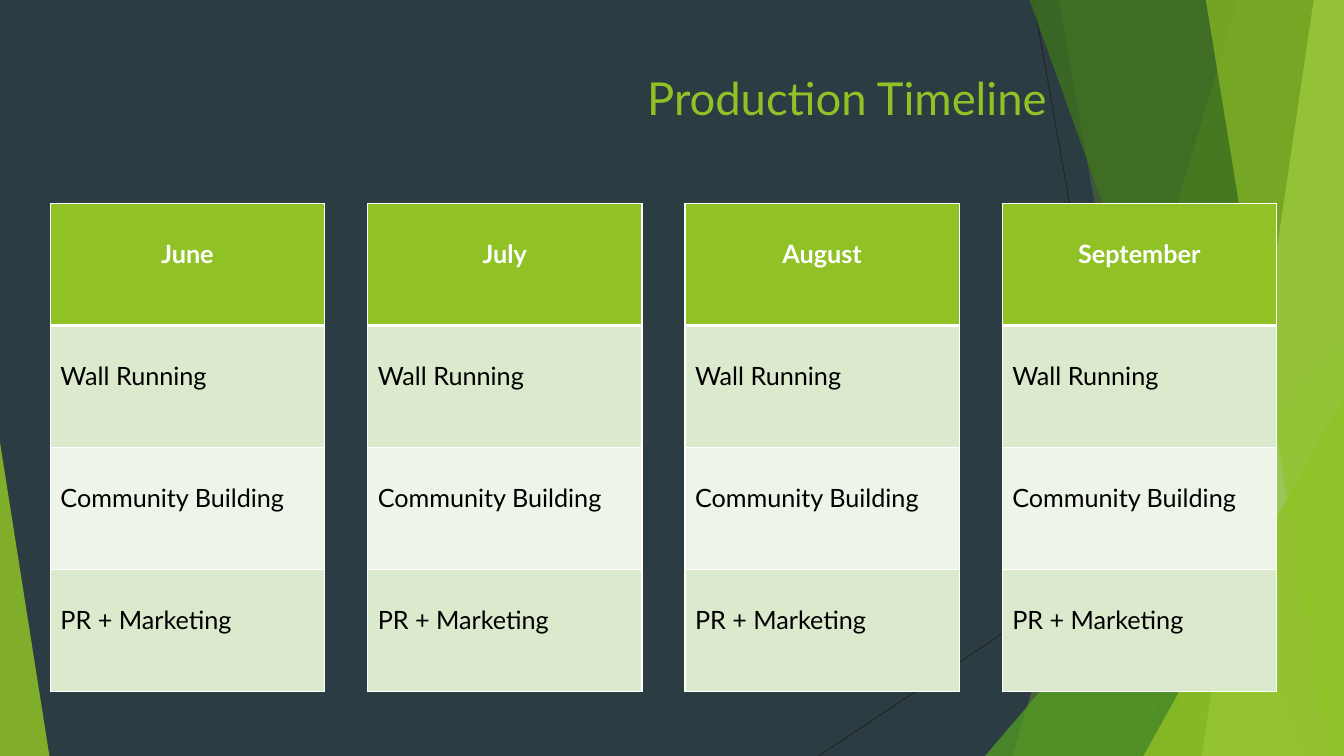
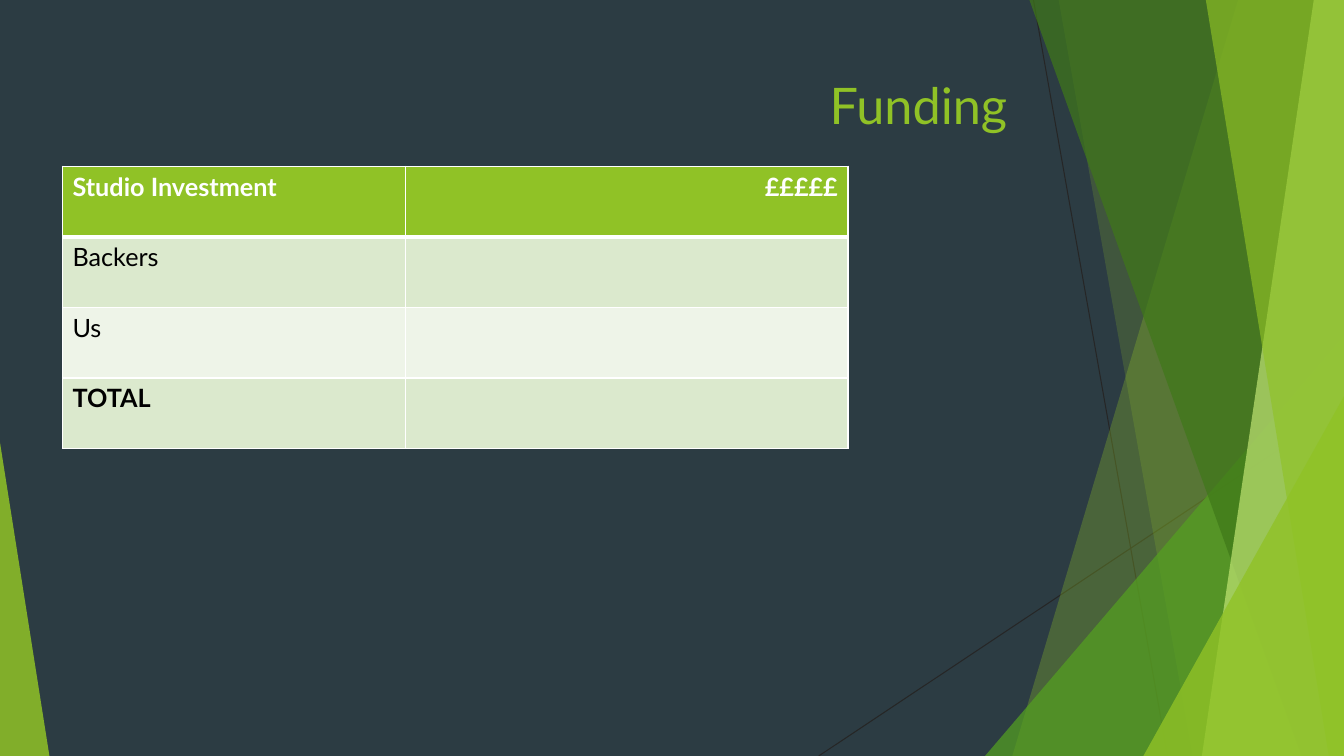
from lxml.etree import SubElement
from pptx import Presentation
from pptx.dml.color import RGBColor
from pptx.enum.shapes import MSO_CONNECTOR, MSO_SHAPE
from pptx.enum.text import MSO_ANCHOR, PP_ALIGN
from pptx.oxml import parse_xml
from pptx.oxml.ns import nsdecls, qn
from pptx.util import Inches, Pt

WIDTH, HEIGHT = 13.33, 7.5
FONT = "Lato"
SLATE = RGBColor(0x2C, 0x3C, 0x43)
CHARCOAL = RGBColor(0x26, 0x26, 0x26)
LIME = RGBColor(0x90, 0xC2, 0x26)
GREEN = RGBColor(0x54, 0xA0, 0x21)
FOREST = RGBColor(0x3F, 0x78, 0x19)
PALE_LIME = RGBColor(0xC0, 0xE4, 0x74)
BAND_DARK = RGBColor(0xDB, 0xE9, 0xCD)
BAND_LIGHT = RGBColor(0xEE, 0xF4, 0xE8)
WHITE = RGBColor(0xFF, 0xFF, 0xFF)
BLACK = RGBColor(0, 0, 0)

MONTHS = ["June", "July", "August", "September"]
TASKS = ["Wall Running", "Community Building", "PR + Marketing"]
FUNDING = [["Studio Investment", "£££££"], ["Backers", ""], ["Us", ""], ["TOTAL", ""]]


def paint(shape, color, opacity):
    shape.shadow.inherit = False
    shape.line.fill.background()
    shape.fill.solid()
    shape.fill.fore_color.rgb = color
    color_node = shape.fill._xPr.find(qn("a:solidFill"))[0]
    SubElement(color_node, qn("a:alpha"), val=str(opacity * 1000))


def add_ray(slide, start, end):
    ray = slide.shapes.add_connector(
        MSO_CONNECTOR.STRAIGHT, *[Inches(v) for v in (*start, *end)])
    ray.line.color.rgb = CHARCOAL
    ray.line.width = Pt(0.75)
    SubElement(ray._element.spPr, qn("a:effectLst"))


def add_shard(slide, top_x, bottom_x, color, opacity):
    builder = slide.shapes.build_freeform(Inches(top_x), 0, scale=1.0)
    corners = [(WIDTH, 0), (WIDTH, HEIGHT), (bottom_x, HEIGHT)]
    builder.add_line_segments([(Inches(x), Inches(y)) for x, y in corners], close=True)
    paint(builder.convert_to_shape(), color, opacity)


def add_wedge(slide, left, top, width, apex, color, opacity):
    wedge = slide.shapes.add_shape(
        MSO_SHAPE.ISOSCELES_TRIANGLE,
        Inches(left), Inches(top), Inches(width), Inches(HEIGHT - top))
    wedge.adjustments[0] = apex
    paint(wedge, color, opacity)


def add_facets(slide):
    add_ray(slide, (10.25, 0), (11.58, HEIGHT))
    add_ray(slide, (WIDTH, 4.03), (8.12, HEIGHT))
    add_shard(slide, 12.28, 10.04, LIME, 30)
    add_shard(slide, 10.5, 11.83, LIME, 20)
    add_wedge(slide, 9.77, 3.33, 3.56, 1, GREEN, 72)
    add_shard(slide, 10.21, 12.91, FOREST, 70)
    add_shard(slide, 13.03, 11.92, PALE_LIME, 70)
    add_shard(slide, 11.96, 13.18, LIME, 65)
    add_wedge(slide, 11.34, 3.93, 1.99, 1, LIME, 80)
    add_wedge(slide, 0, 4.39, 0.49, 0, LIME, 85)


def write(paragraph, text, size, color, bold=False, align=PP_ALIGN.LEFT):
    paragraph.alignment = align
    run = paragraph.add_run()
    run.text = text
    run.font.name = FONT
    run.font.size = Pt(size)
    run.font.bold = bold
    run.font.color.rgb = color


def add_title(slide, text, left, top, size):
    title = slide.shapes.add_textbox(Inches(left), Inches(top), Inches(4.64), Inches(0.96))
    frame = title.text_frame
    frame.word_wrap = True
    frame.vertical_anchor = MSO_ANCHOR.TOP
    write(frame.paragraphs[0], text, size, LIME, align=PP_ALIGN.CENTER)


def set_borders(cell, top, bottom):
    properties = cell._tc.get_or_add_tcPr()
    widths = {"lnL": 1, "lnR": 1, "lnT": top, "lnB": bottom}
    for position, (side, width) in enumerate(widths.items()):
        properties.insert(position, parse_xml(
            f'<a:{side} {nsdecls("a")} w="{Pt(width)}"><a:solidFill>'
            f'<a:srgbClr val="{WHITE}"/></a:solidFill></a:{side}>'))


def add_grid(slide, rows, left, top, col_widths, row_height, header_aligns,
             bold_last=False, text_drop=0):
    grid = slide.shapes.add_table(
        len(rows), len(col_widths), Inches(left), Inches(top),
        Inches(sum(col_widths)), Inches(row_height * len(rows))).table
    grid.first_row = grid.horz_banding = False
    for column, width in zip(grid.columns, col_widths):
        column.width = Inches(width)
    for r, row in enumerate(rows):
        grid.rows[r].height = Inches(row_height)
        header = r == 0
        bold = header or (bold_last and r == len(rows) - 1)
        for c, text in enumerate(row):
            cell = grid.cell(r, c)
            cell.margin_top = Inches(0.05 + text_drop)
            cell.fill.solid()
            cell.fill.fore_color.rgb = LIME if header else (BAND_LIGHT, BAND_DARK)[r % 2]
            set_borders(cell, 3 if r == 1 else 1, 3 if header else 1)
            if text:
                write(cell.text_frame.paragraphs[0], text, 18, WHITE if header else BLACK,
                      bold, header_aligns[c] if header else PP_ALIGN.LEFT)


def add_base_slide(deck):
    slide = deck.slides.add_slide(deck.slide_layouts[6])
    slide.background.fill.solid()
    slide.background.fill.fore_color.rgb = SLATE
    add_facets(slide)
    return slide


def add_timeline_slide(deck):
    slide = add_base_slide(deck)
    add_title(slide, "Production Timeline", 6.08, 0.65, 32.4)
    first_left, last_left = 0.5, 9.94
    pitch = (last_left - first_left) / (len(MONTHS) - 1)
    for i, month in enumerate(MONTHS):
        rows = [[text] for text in (month, *TASKS)]
        add_grid(slide, rows, first_left + i * pitch, 2.02, [2.72], 1.21,
                 [PP_ALIGN.CENTER], text_drop=0.3)


def add_funding_slide(deck):
    slide = add_base_slide(deck)
    add_title(slide, "Funding", 6.79, 0.69, 36)
    add_grid(slide, FUNDING, 0.62, 1.65, [3.4, 4.39], 0.7,
             [PP_ALIGN.LEFT, PP_ALIGN.RIGHT], bold_last=True)


def main():
    deck = Presentation()
    deck.slide_width, deck.slide_height = Inches(WIDTH), Inches(HEIGHT)
    add_timeline_slide(deck)
    add_funding_slide(deck)
    deck.save("out.pptx")


if __name__ == "__main__":
    main()
